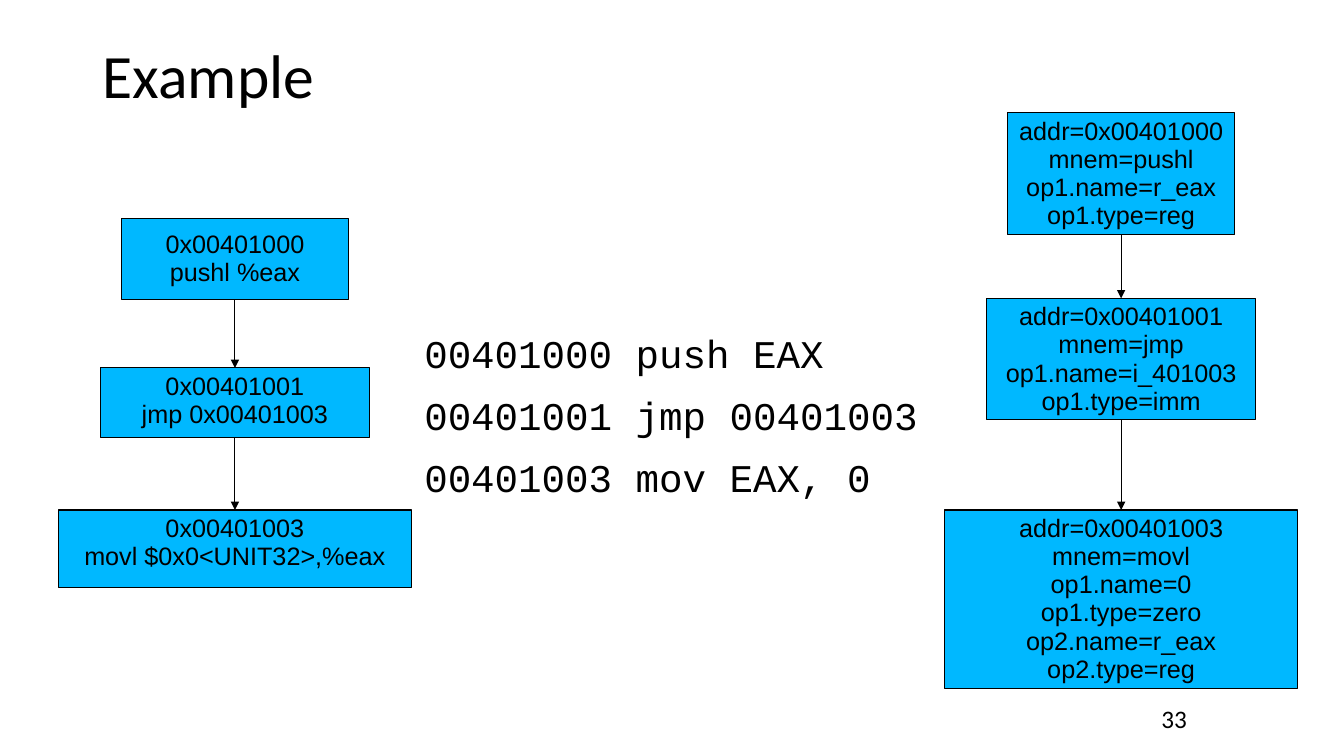
from pptx import Presentation
from pptx.dml.color import RGBColor
from pptx.enum.shapes import MSO_CONNECTOR, MSO_SHAPE
from pptx.enum.text import MSO_ANCHOR, PP_ALIGN
from pptx.oxml.ns import qn
from pptx.util import Inches, Pt
from lxml import etree

BLACK = RGBColor(0x00, 0x00, 0x00)
NODE_BLUE = RGBColor(0x00, 0xB8, 0xFF)
STRAIGHT = MSO_CONNECTOR.STRAIGHT
RECTANGLE = MSO_SHAPE.RECTANGLE
TOP, MIDDLE = MSO_ANCHOR.TOP, MSO_ANCHOR.MIDDLE
CENTER = PP_ALIGN.CENTER
BOTTOM_SIDE, TOP_SIDE = 2, 0
NODE_WIDTHS = (2.25, 2.67, 3.5)

INSTRUCTION_NODES = (
    (2.17, 0.8, MIDDLE, "0x00401000\npushl %eax"),
    (3.65, 0.69, TOP, "0x00401001\njmp 0x00401003"),
    (5.06, 0.77, TOP, "0x00401003\nmovl $0x0<UNIT32>,%eax"),
)
ATTRIBUTE_NODES = (
    (1.12, 1.21, MIDDLE,
     "addr=0x00401000\nmnem=pushl\nop1.name=r_eax\nop1.type=reg"),
    (2.96, 1.2, TOP,
     "addr=0x00401001\nmnem=jmp\nop1.name=i_401003\nop1.type=imm"),
    (5.06, 1.77, TOP,
     "addr=0x00401003\nmnem=movl\nop1.name=0\nop1.type=zero\n"
     "op2.name=r_eax\nop2.type=reg"),
)
CODE_LINES = (
    "00401000 push EAX",
    "00401001 jmp 00401003",
    "00401003 mov EAX, 0",
)


def write_text(shape, text, font_name, size, line_spacing=1.0, alignment=None):
    shape.text_frame.word_wrap = True
    shape.text_frame.text = text
    for paragraph in shape.text_frame.paragraphs:
        paragraph.alignment = alignment
        paragraph.line_spacing = line_spacing
        paragraph.font.name = font_name
        paragraph.font.size = Pt(size)
        paragraph.font.color.rgb = BLACK


def add_label(slide, left, top, width, height, text, font_name, size, line_spacing=1.0):
    label = slide.shapes.add_textbox(
        Inches(left), Inches(top), Inches(width), Inches(height))
    write_text(label, text, font_name, size, line_spacing)


def add_node(slide, center, top, width, height, anchor, text):
    node = slide.shapes.add_shape(
        RECTANGLE, Inches(center - width / 2), Inches(top), Inches(width), Inches(height))
    node.shadow.inherit = False
    node.fill.solid()
    node.fill.fore_color.rgb = NODE_BLUE
    node.line.color.rgb = BLACK
    node.line.width = Pt(0.75)
    node.text_frame.vertical_anchor = anchor
    write_text(node, text, "Arial", 18, 0.93, CENTER)
    return node


def add_arrow(slide, source, target):
    arrow = slide.shapes.add_connector(STRAIGHT, 0, 0, 0, 0)
    arrow.begin_connect(source, BOTTOM_SIDE)
    arrow.end_connect(target, TOP_SIDE)
    arrow.line.color.rgb = BLACK
    arrow.line.width = Pt(0.75)
    etree.SubElement(arrow.line._get_or_add_ln(), qn("a:tailEnd"), type="triangle")
    etree.SubElement(arrow._element.spPr, qn("a:effectLst"))


def add_chain(slide, center, node_rows):
    nodes = [
        add_node(slide, center, top, width, height, anchor, text)
        for width, (top, height, anchor, text) in zip(NODE_WIDTHS, node_rows)
    ]
    for source, target in zip(nodes, nodes[1:]):
        add_arrow(slide, source, target)


def main():
    presentation = Presentation()
    presentation.slide_width = Inches(13.33)
    presentation.slide_height = Inches(7.5)
    slide = presentation.slides.add_slide(presentation.slide_layouts[6])

    add_label(slide, 0.92, 0.4, 11.5, 0.68, "Example", "Calibri", 44, 0.9)
    add_chain(slide, 2.33, INSTRUCTION_NODES)
    add_chain(slide, 11.12, ATTRIBUTE_NODES)
    for index, code in enumerate(CODE_LINES):
        add_label(slide, 4.11, 3.27 + index * 0.615, 6.08, 0.56, code, "Courier New", 28, 0.9)
    add_label(slide, 11.42, 6.93, 1, 0.4, "33", "Calibri", 18)

    presentation.save("out.pptx")


if __name__ == "__main__":
    main()
